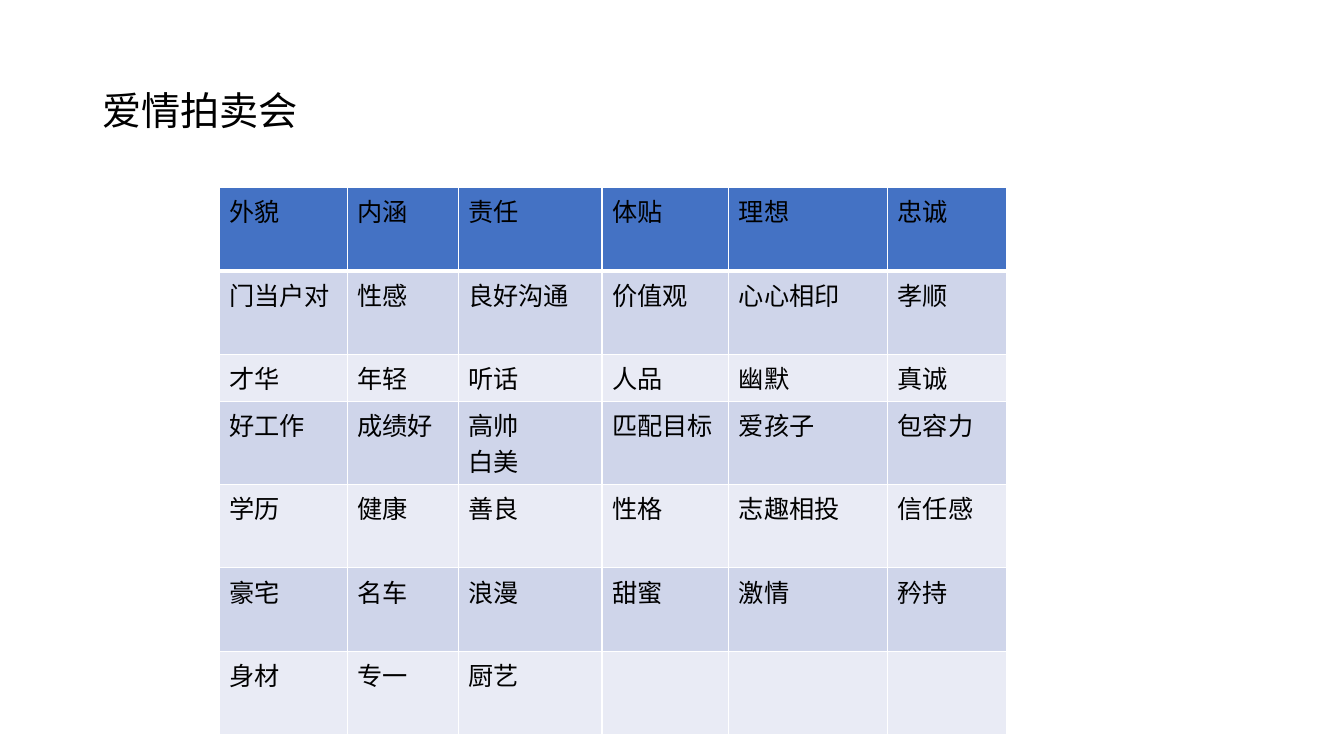
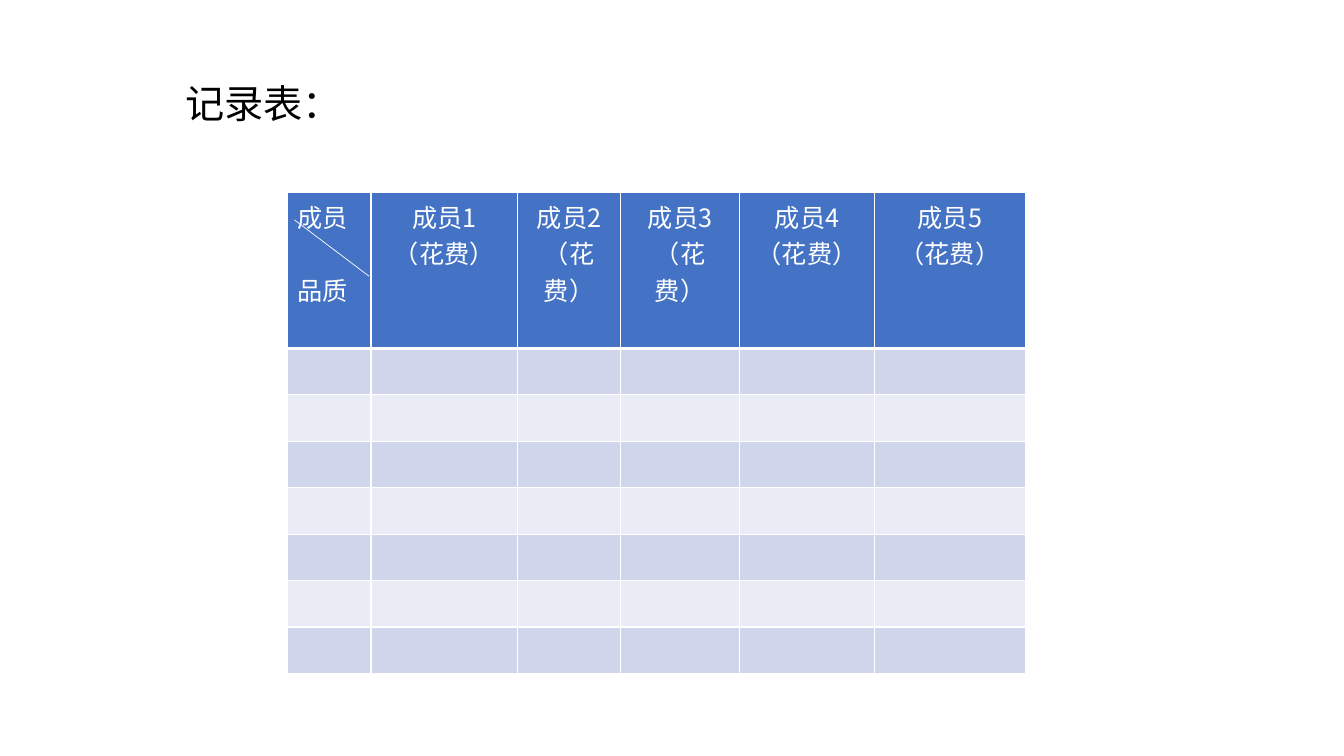
import dataclasses

import lxml.etree
import pptx
import pptx.dml.color
import pptx.enum.shapes
import pptx.enum.text
import pptx.oxml.ns
import pptx.util

Cm = pptx.util.Cm
Pt = pptx.util.Pt
qn = pptx.oxml.ns.qn
ALIGN = pptx.enum.text.PP_ALIGN


@dataclasses.dataclass(frozen=True)
class Theme:
    font: str = "Noto Sans CJK SC"
    title_size: int = 28
    table_size: int = 18
    dark: str = "000000"
    light: str = "FFFFFF"
    header: str = "4472C4"
    bands: tuple = ("CFD5EA", "E9EBF5")
    grid_width: float = 1
    header_rule: float = 3
    diagonal_width: float = 0.5


THEME = Theme()

TRAITS = [
    ["外貌", "内涵", "责任", "体贴", "理想", "忠诚"],
    ["门当户对", "性感", "良好沟通", "价值观", "心心相印", "孝顺"],
    ["才华", "年轻", "听话", "人品", "幽默", "真诚"],
    ["好工作", "成绩好", "高帅\n白美", "匹配目标", "爱孩子", "包容力"],
    ["学历", "健康", "善良", "性格", "志趣相投", "信任感"],
    ["豪宅", "名车", "浪漫", "甜蜜", "激情", "矜持"],
    ["身材", "专一", "厨艺", "", "", ""],
]
RECORD_HEADER = ["成员\n品质", "成员1\n（花费）", "成员2（花费）",
                 "成员3\n（花费）", "成员4\n（花费）", "成员5\n（花费）"]
RECORD_ROWS = 7


def rgb(value):
    return pptx.dml.color.RGBColor.from_string(value)


def style_paragraph(para, size, color, align=ALIGN.LEFT):
    """Set the font for Latin and East Asian text alike."""
    para.alignment = align
    para.font.size = Pt(size)
    para.font.bold = False
    para.font.color.rgb = rgb(color)
    para.font.name = THEME.font
    properties = para._p.pPr.find(qn("a:defRPr"))
    lxml.etree.SubElement(properties, qn("a:ea"), typeface=THEME.font)


def add_title(slide, text, left, top, width, height):
    box = slide.shapes.add_textbox(Cm(left), Cm(top), Cm(width), Cm(height))
    frame = box.text_frame
    frame.word_wrap = True
    frame.vertical_anchor = pptx.enum.text.MSO_ANCHOR.MIDDLE
    frame.text = text
    para = frame.paragraphs[0]
    para.line_spacing = 0.9
    style_paragraph(para, THEME.title_size, THEME.dark)


def set_borders(cell, bottom_width):
    properties = cell._tc.get_or_add_tcPr()
    widths = dict.fromkeys(("lnL", "lnR", "lnT"), THEME.grid_width)
    widths["lnB"] = bottom_width
    for side, width in widths.items():
        line = lxml.etree.SubElement(properties, qn(f"a:{side}"), w=str(Pt(width)))
        fill = lxml.etree.SubElement(line, qn("a:solidFill"))
        lxml.etree.SubElement(fill, qn("a:srgbClr"), val=THEME.light)


def add_table(slide, rows, left, top, widths, heights, header_color):
    """Add a table with a header row and alternating bands below it."""
    table = slide.shapes.add_table(
        len(rows), len(widths), Cm(left), Cm(top),
        Cm(sum(widths)), Cm(sum(heights))).table
    table.first_row = False
    table.horz_banding = False
    for column, width in zip(table.columns, widths):
        column.width = Cm(width)
    for index, (row, height, texts) in enumerate(zip(table.rows, heights, rows)):
        row.height = Cm(height)
        is_header = index == 0
        fill = THEME.header if is_header else THEME.bands[(index - 1) % 2]
        color = header_color if is_header else THEME.dark
        for cell, text in zip(row.cells, texts):
            set_borders(cell, THEME.header_rule if is_header else THEME.grid_width)
            cell.fill.solid()
            cell.fill.fore_color.rgb = rgb(fill)
            cell.text = text
            for para in cell.text_frame.paragraphs:
                style_paragraph(para, THEME.table_size, color)
    return table


def add_line(slide, start, end):
    line = slide.shapes.add_connector(
        pptx.enum.shapes.MSO_CONNECTOR.STRAIGHT,
        *(Cm(value) for value in start + end))
    line.line.color.rgb = rgb(THEME.light)
    line.line.width = Pt(THEME.diagonal_width)
    lxml.etree.SubElement(line._element.spPr, qn("a:effectLst"))


def build_auction(slide):
    add_title(slide, "爱情拍卖会", 2.33, 1.01, 29.21, 3.68)
    tall, short = 2.1, 1.18
    add_table(slide, TRAITS, 5.52, 4.73,
              widths=[3.23, 2.8, 3.62, 3.2, 4, 3],
              heights=[tall] * 2 + [short] + [tall] * 4,
              header_color=THEME.dark)


def build_record(slide):
    add_title(slide, "记录表：", 4.42, 1.07, 20.12, 3.18)
    blank_row = [""] * len(RECORD_HEADER)
    table = add_table(slide, [RECORD_HEADER] + [blank_row] * RECORD_ROWS, 7.25, 4.86,
                      widths=[2.1, 3.69, 2.6, 3, 3.4, 3.8],
                      heights=[3.92] + [1.17] * RECORD_ROWS,
                      header_color=THEME.light)
    corner, *members = table.rows[0].cells
    corner.text_frame.paragraphs[1].space_before = Pt(26)
    for cell in members:
        for para in cell.text_frame.paragraphs:
            para.alignment = ALIGN.CENTER
    add_line(slide, (7.42, 5.54), (9.3, 6.96))


def main():
    deck = pptx.Presentation()
    deck.slide_width, deck.slide_height = Cm(33.87), Cm(19.05)
    blank = deck.slide_layouts[6]
    for build in (build_auction, build_record):
        build(deck.slides.add_slide(blank))
    deck.save("out.pptx")


if __name__ == "__main__":
    main()
